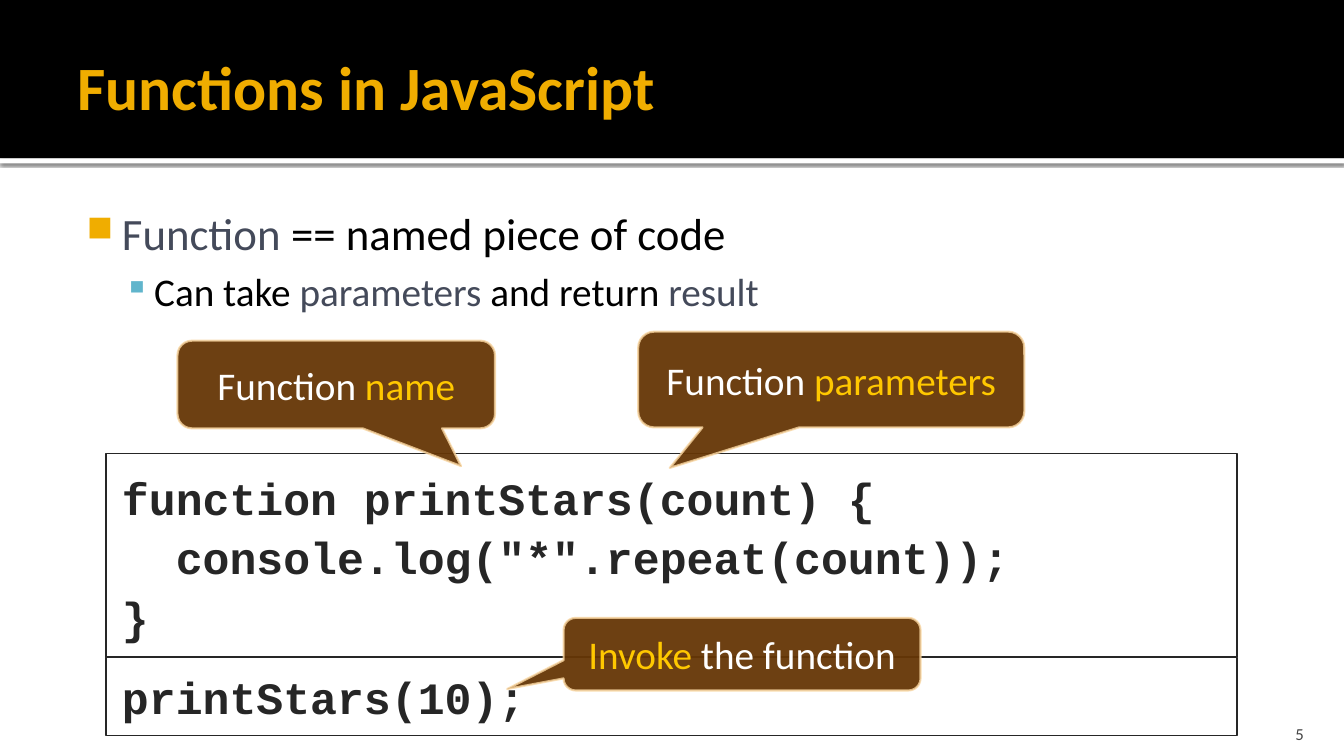
from lxml.etree import SubElement
from pptx import Presentation
from pptx.dml.color import RGBColor
from pptx.enum.shapes import MSO_SHAPE as SHAPE
from pptx.enum.text import MSO_ANCHOR as ANCHOR, PP_ALIGN as ALIGN
from pptx.oxml.ns import qn
from pptx.util import Inches, Pt

BLACK = RGBColor(0x00, 0x00, 0x00)
WHITE = RGBColor(0xFF, 0xFF, 0xFF)
GOLD = RGBColor(0xF0, 0xAD, 0x00)
SLATE = RGBColor(0x44, 0x4A, 0x5A)
SKY = RGBColor(0x60, 0xB5, 0xCC)
GRAY = RGBColor(0x45, 0x45, 0x45)
INK = RGBColor(0x26, 0x26, 0x26)
BROWN = RGBColor(0x66, 0x36, 0x06)
CREAM = RGBColor(0xF8, 0xD4, 0x9E)
YELLOW = RGBColor(0xFF, 0xC8, 0x00)


def add_box(kind, at, fill=None, line=None, width=1):
    sp = s.shapes.add_shape(kind, *map(Inches, at))
    sp.shadow.inherit = False
    if fill is None:
        sp.fill.background()
    else:
        sp.fill.solid()
        sp.fill.fore_color.rgb = fill
    if line is None:
        sp.line.fill.background()
    else:
        sp.line.color.rgb = line
        sp.line.width = Pt(width)
    sp.text_frame.word_wrap = True
    return sp


def add_runs(p, runs, size, font="Calibri", bold=False):
    for text, color in runs:
        r = p.add_run()
        r.text = text
        r.font.name = font
        r.font.size = Pt(size)
        r.font.bold = bold
        r.font.color.rgb = color


prs = Presentation()
prs.slide_width, prs.slide_height = Inches(13.33), Inches(7.5)
s = prs.slides.add_slide(prs.slide_layouts[6])

strip = add_box(SHAPE.RECTANGLE, (0, 1.57, 13.33, 0.05), WHITE)
effects = strip._element.spPr.find(qn("a:effectLst"))
shadow = SubElement(effects, qn("a:outerShdw"), blurRad=str(Pt(2.5)),
                    dist=str(Pt(0.8)), dir="5400000", rotWithShape="0")
shadow_color = SubElement(shadow, qn("a:srgbClr"), val=str(BLACK))
SubElement(shadow_color, qn("a:alpha"), val="60000")
add_box(SHAPE.RECTANGLE, (0, 0, 13.33, 1.57), BLACK)

title = s.shapes.add_textbox(Inches(0.67), Inches(0.17), Inches(9.17), Inches(1.37))
tf = title.text_frame
tf.word_wrap = True
tf.vertical_anchor = ANCHOR.MIDDLE
tf.margin_right = Inches(0.05)
add_runs(tf.paragraphs[0], [("Functions in JavaScript", GOLD)], 44, bold=True)

body = s.shapes.add_textbox(Inches(0.67), Inches(1.94), Inches(12), Inches(5.06))
tf = body.text_frame
tf.word_wrap = True
tf.margin_left, tf.margin_top = Inches(0.06), Inches(0.1)
bullets = [
    (0, 32, 0.48, -0.35, "■", GOLD, 80, 0,
     [("Function", SLATE), (" == named piece of code", BLACK)]),
    (1, 28, 0.8, -0.3, "▪", SKY, 90, 5.6,
     [("Can take ", BLACK), ("parameters", SLATE),
      (" and return ", BLACK), ("result", SLATE)]),
]
for level, size, left, indent, mark, color, percent, before, runs in bullets:
    p = tf.add_paragraph() if level else tf.paragraphs[0]
    p.level = level
    p.space_before = Pt(before)
    pPr = p._p.get_or_add_pPr()
    pPr.set("marL", str(Inches(left)))
    pPr.set("indent", str(Inches(indent)))
    SubElement(SubElement(pPr, qn("a:buClr")), qn("a:srgbClr"), val=str(color))
    SubElement(pPr, qn("a:buSzPct"), val=str(percent * 1000))
    SubElement(pPr, qn("a:buChar"), char=mark)
    add_runs(p, runs, size)

number = s.shapes.add_textbox(Inches(11.96), Inches(7.08), Inches(1.07), Inches(0.3))
tf = number.text_frame
tf.word_wrap = True
tf.vertical_anchor = ANCHOR.BOTTOM
tf.margin_bottom = 0
tf.paragraphs[0].alignment = ALIGN.RIGHT
add_runs(tf.paragraphs[0], [("5", GRAY)], 12)

code_blocks = [
    (4.5, 2.02, 1.1, ["function printStars(count) {",
                      '  console.log("*".repeat(count));', "}"]),
    (6.52, 0.78, 1.0, ["printStars(10);"]),
]
for top, height, spacing, lines in code_blocks:
    tf = add_box(SHAPE.RECTANGLE, (1.05, top, 11.22, height), line=INK).text_frame
    tf.vertical_anchor = ANCHOR.TOP
    tf.margin_left = tf.margin_right = Inches(0.16)
    tf.margin_top = tf.margin_bottom = Inches(0.12)
    for i, text in enumerate(lines):
        p = tf.add_paragraph() if i else tf.paragraphs[0]
        p.alignment = ALIGN.LEFT
        p.line_spacing = spacing
        add_runs(p, [(text, INK)], 32, "Courier New", True)

callouts = [
    ((1.76, 3.38, 3.15, 0.87), (0.393, 0.93),
     [("Function ", WHITE), ("name", YELLOW)]),
    ((6.33, 3.29, 3.83, 0.95), (-0.418, 0.923),
     [("Function ", WHITE), ("parameters", YELLOW)]),
    ((5.59, 6.13, 3.54, 0.72), (-0.658, 0.48),
     [("Invoke", YELLOW), (" the function", WHITE)]),
]
for at, tip, runs in callouts:
    sp = add_box(SHAPE.ROUNDED_RECTANGULAR_CALLOUT, at, BROWN, CREAM, 1.5)
    sp.adjustments[0], sp.adjustments[1] = tip
    fill_color, line_color = sp._element.spPr.iter(qn("a:srgbClr"))
    SubElement(fill_color, qn("a:alpha"), val="95000")
    SubElement(line_color, qn("a:alpha"), val="80000")
    sp.text_frame.vertical_anchor = ANCHOR.MIDDLE
    p = sp.text_frame.paragraphs[0]
    p.alignment = ALIGN.CENTER
    add_runs(p, runs, 28)

prs.save("out.pptx")
